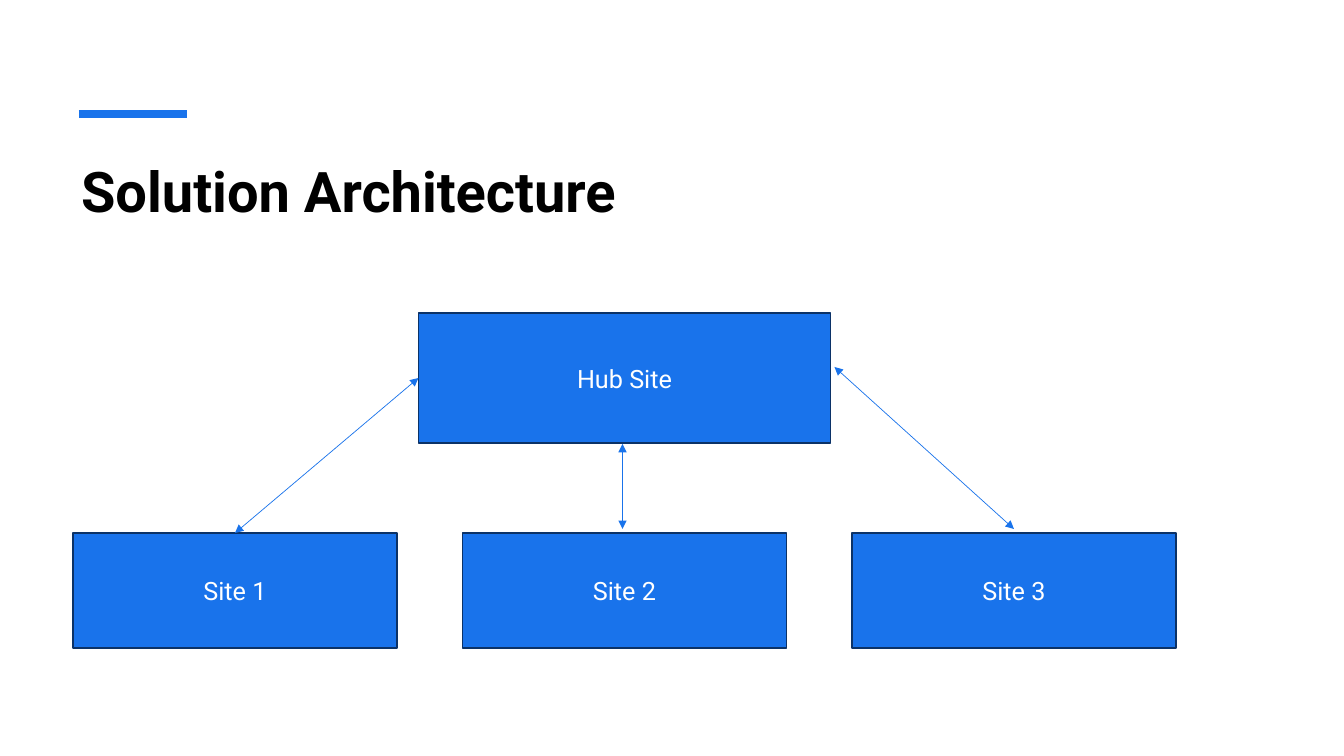
from pptx import Presentation, util as u
from pptx.dml.color import RGBColor
from pptx.enum import shapes, text
from pptx.oxml.ns import qn
from lxml import etree

WIDE, HIGH = 1344, 756
PX = u.Inches(13.33) / WIDE
BLUE, NAVY, WHITE, BLACK = "1973EB", "0B3267", "FFFFFF", "000000"


def px(*sizes):
    """Turn px lengths into EMU."""
    return [round(size * PX) for size in sizes]


def tint(color, code):
    """Set a colour from a hex string."""
    color.rgb = RGBColor.from_string(code)


def style(frame, size, code, bold=False):
    """Format every run of a text frame."""
    for para in frame.paragraphs:
        for run in para.runs:
            run.font.name, run.font.size, run.font.bold = "Roboto", u.Pt(size), bold
            tint(run.font.color, code)


def line(slide, start, end, width, arrows=False):
    """Draw a blue line, with arrowheads at both ends if asked."""
    link = slide.shapes.add_connector(
        shapes.MSO_CONNECTOR.STRAIGHT, *px(*start, *end))
    link.line.width = u.Pt(width)
    tint(link.line.color, BLUE)
    if arrows:
        stroke = link.line._get_or_add_ln()
        for tag in ("a:headEnd", "a:tailEnd"):
            etree.SubElement(stroke, qn(tag), type="triangle")
    etree.SubElement(link._element.spPr, qn("a:effectLst"))


def node(slide, label, left, top, width, height):
    """Draw one labelled site box."""
    box = slide.shapes.add_shape(
        shapes.MSO_SHAPE.RECTANGLE, *px(left, top, width, height))
    box.shadow.inherit = False
    box.fill.solid()
    tint(box.fill.fore_color, BLUE)
    tint(box.line.color, NAVY)
    box.line.width = u.Pt(1)
    frame = box.text_frame
    frame.text = label
    frame.vertical_anchor = text.MSO_ANCHOR.MIDDLE
    frame.paragraphs[0].alignment = text.PP_ALIGN.CENTER
    style(frame, 18, WHITE)


def header(slide, left, top, width, height):
    """Place the accent bar and the title below it."""
    line(slide, (left + 8, top), (left + 116, top), 6)
    title = slide.shapes.title
    title.left, title.top, title.width, title.height = px(
        left, top + 37, width, height - 37)
    frame = title.text_frame
    frame.text = "Solution Architecture"
    frame.word_wrap = True
    frame.auto_size = text.MSO_AUTO_SIZE.NONE
    frame.vertical_anchor = text.MSO_ANCHOR.TOP
    frame.paragraphs[0].alignment = text.PP_ALIGN.LEFT
    style(frame, 40, BLACK, True)


def tree(slide, left, top, width, height):
    """Place the hub, a row of sites and the arrows between them."""
    hub_w, hub_h, site_w, site_h = 412, 130, 324, 115
    hub_x = left + (width - hub_w) / 2
    row = top + height - site_h
    node(slide, "Hub Site", hub_x, top, hub_w, hub_h)
    names = ["Site 1", "Site 2", "Site 3"]
    step = (width - site_w) / (len(names) - 1)
    for i, name in enumerate(names):
        node(slide, name, left + i * step, row, site_w, site_h)
    mid = left + width / 2 - 2
    first = left + site_w / 2
    last = first + 2 * step
    for start, end in [
        ((mid, top + hub_h + 1), (mid, row - 4)),
        ((first, row), (hub_x, top + hub_h / 2)),
        ((hub_x + hub_w + 4, top + 54), (last, row - 4)),
    ]:
        line(slide, start, end, 0.5, arrows=True)


def main():
    """Build and save the slide."""
    deck = Presentation()
    deck.slide_width, deck.slide_height = px(WIDE, HIGH)
    slide = deck.slides.add_slide(deck.slide_layouts[5])
    slide.background.fill.solid()
    tint(slide.background.fill.fore_color, WHITE)
    header(slide, 71, 114, 1200, 158)
    tree(slide, 73, 313, 1103, 335)
    deck.save("out.pptx")


if __name__ == "__main__":
    main()
